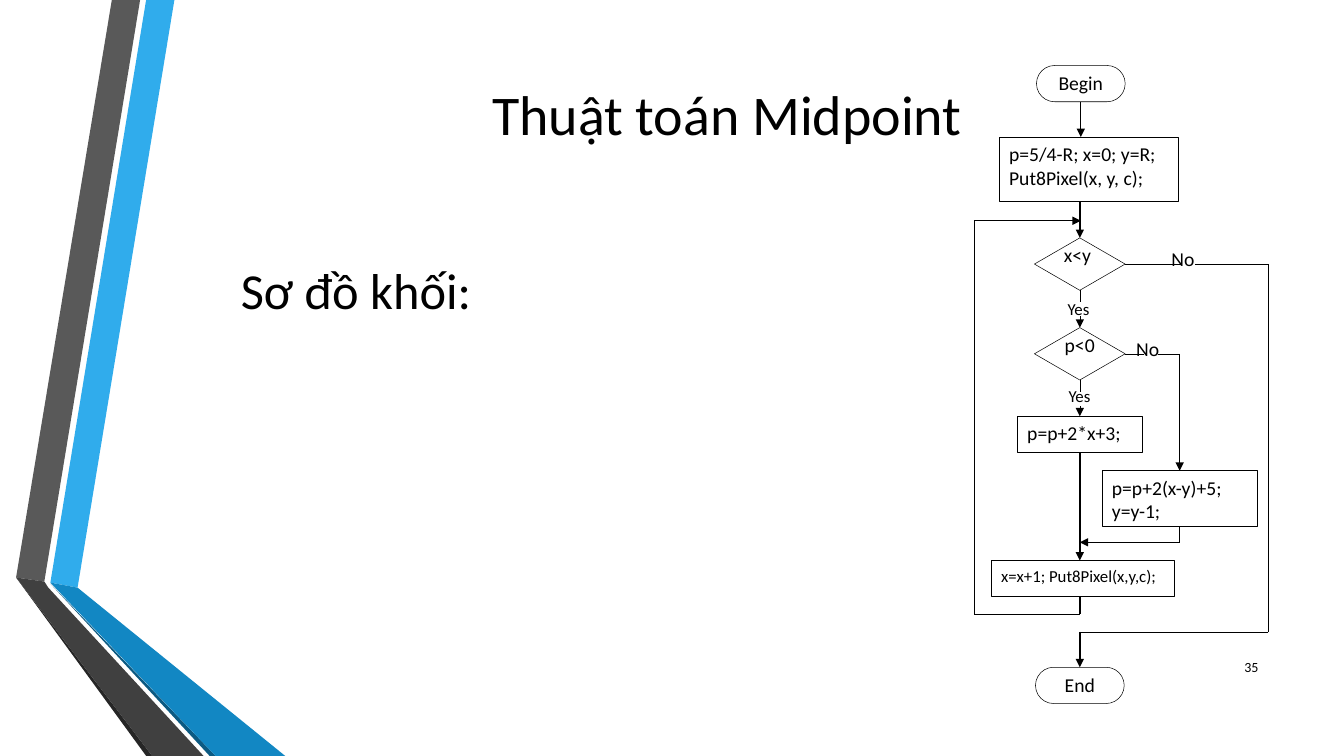
from itertools import pairwise

from lxml.etree import SubElement
from pptx import Presentation
from pptx.dml.color import RGBColor
from pptx.enum.shapes import MSO_CONNECTOR as LINK, MSO_SHAPE as SHAPE
from pptx.enum.text import MSO_ANCHOR as ANCHOR, PP_ALIGN as ALIGN
from pptx.oxml.ns import qn
from pptx.util import Inches, Pt

COLOURS = {
    "black": "000000",
    "blue": "30ACEC",
    "deep blue": "1287C3",
    "navy": "0C5A82",
    "grey": "595959",
    "dark grey": "404040",
    "charcoal": "262626",
}
THIN, THICK = 0.36, 0.96
AXIS = 10.71


def colour(name):
    return RGBColor.from_string(COLOURS[name])


def write(shape, text, size, align, anchor, wrap):
    frame = shape.text_frame
    frame.word_wrap = wrap
    frame.vertical_anchor = anchor
    frame.text = text
    for para in frame.paragraphs:
        para.alignment = align
        for name, value in {"name": "Calibri", "size": Pt(size)}.items():
            setattr(para.font, name, value)
        para.font.color.rgb = colour("black")


deck = Presentation()
deck.slide_width, deck.slide_height = Inches(13.33), Inches(7.5)
page = deck.slides.add_slide(deck.slide_layouts[6])

ribbons = [
    ("blue", [(0.5, 5.78), (0.77, 5.83), (1.73, 0), (1.45, 0)]),
    ("grey", [(1.39, 0), (1.11, 0), (0.16, 5.73), (0.44, 5.77)]),
    ("charcoal", [(0.16, 5.73), (1.45, 7.5), (1.51, 7.5)]),
    ("navy", [(0.5, 5.79), (2.08, 7.5), (2.14, 7.5)]),
    ("deep blue", [(0.5, 5.78), (2.14, 7.5), (2.83, 7.5), (0.77, 5.83)]),
    ("dark grey", [(0.16, 5.73), (1.51, 7.5), (2.02, 7.5), (0.48, 5.83), (0.44, 5.77)]),
]
for name, corners in ribbons:
    first, *others = [(Inches(x), Inches(y)) for x, y in corners]
    builder = page.shapes.build_freeform(*first)
    builder.add_line_segments(others, close=True)
    ribbon = builder.convert_to_shape()
    ribbon.shadow.inherit = False
    ribbon.fill.solid()
    ribbon.fill.fore_color.rgb = colour(name)
    ribbon.line.fill.background()

steps = [
    ("begin", SHAPE.ROUNDED_RECTANGLE, 10.28, 0.65, 0.88, 0.36, "Begin", 14),
    ("setup", SHAPE.RECTANGLE, 9.91, 1.36, 1.78, 0.64,
     "p=5/4-R; x=0; y=R;\nPut8Pixel(x, y, c);", 14),
    ("loop test", SHAPE.DIAMOND, 10.26, 2.36, 0.9, 0.52, "x<y ", 14),
    ("sign test", SHAPE.DIAMOND, 10.26, 3.25, 0.9, 0.52, "p<0", 14),
    ("east", SHAPE.RECTANGLE, 10.09, 4.13, 1.24, 0.36, "p=p+2*x+3;", 14),
    ("south east", SHAPE.RECTANGLE, 10.93, 4.67, 1.54, 0.55, "p=p+2(x-y)+5;\ny=y-1;", 14),
    ("plot", SHAPE.RECTANGLE, 9.83, 5.56, 1.82, 0.36, "x=x+1; Put8Pixel(x,y,c);", 12),
    ("end", SHAPE.ROUNDED_RECTANGLE, 10.27, 6.62, 0.88, 0.36, "End", 14),
]
blocks = {}
for name, kind, left, top, width, height, text, size in steps:
    block = page.shapes.add_shape(
        kind, Inches(left), Inches(top), Inches(width), Inches(height))
    block.shadow.inherit = False
    block.fill.background()
    block.line.color.rgb = colour("black")
    block.line.width = Pt(THIN)
    if kind == SHAPE.RECTANGLE:
        write(block, text, size, ALIGN.LEFT, ANCHOR.TOP, True)
    else:
        write(block, text, size, ALIGN.CENTER, ANCHOR.MIDDLE, False)
    if kind == SHAPE.ROUNDED_RECTANGLE:
        block.adjustments[0] = 0.5
        block.text_frame.margin_bottom = Inches(0.07)
    if kind == SHAPE.DIAMOND:
        block.text_frame.margin_top = 0
        block.text_frame.margin_bottom = Inches(0.18)
    blocks[name] = block

routes = [
    ([(10.72, 1.01), (10.72, 1.36)], THICK, True, ("begin", 2), None),
    ([(AXIS, 2), (AXIS, 2.36)], THICK, True, None, ("loop test", 0)),
    ([(AXIS, 2.88), (AXIS, 3)], THIN, False, ("loop test", 2), None),
    ([(AXIS, 3.14), (AXIS, 3.25)], THIN, True, None, ("sign test", 0)),
    ([(AXIS, 3.77), (AXIS, 3.89)], THIN, False, ("sign test", 2), None),
    ([(AXIS, 4.03), (AXIS, 4.13)], THIN, True, None, ("east", 0)),
    ([(AXIS, 4.49), (AXIS, 5.56)], THICK, True, ("east", 2), None),
    ([(11.16, 3.51), (11.35, 3.51)], THIN, False, ("sign test", 3), None),
    ([(11.49, 3.51), (11.7, 3.51)], THIN, False, None, None),
    ([(11.7, 3.51), (11.7, 4.67)], THICK, True, None, ("south east", 0)),
    ([(11.7, 5.22), (11.7, 5.38), (AXIS, 5.38)], THICK, True, ("south east", 2), None),
    ([(AXIS, 5.92), (AXIS, 6.09)], THICK, False, None, None),
    ([(AXIS, 6.09), (9.66, 6.09), (9.66, 2.19), (10.72, 2.19)], THIN, True, None, None),
    ([(11.16, 2.62), (11.71, 2.62)], THIN, False, ("loop test", 3), None),
    ([(11.85, 2.62), (12.58, 2.62), (12.58, 6.27), (AXIS, 6.27)], THIN, False, None, None),
    ([(AXIS, 6.27), (AXIS, 6.62)], THICK, True, None, ("end", 0)),
]
for points, weight, arrow, source, target in routes:
    links = []
    for start, stop in pairwise(points):
        link = page.shapes.add_connector(
            LINK.STRAIGHT, *(Inches(value) for value in start + stop))
        link.line.color.rgb = colour("black")
        link.line.width = Pt(weight)
        links.append(link)
    if source:
        links[0].begin_connect(blocks[source[0]], source[1])
    if target:
        links[-1].end_connect(blocks[target[0]], target[1])
    if arrow:
        SubElement(links[-1].line._get_or_add_ln(), qn("a:tailEnd"), type="triangle")
    for link in links:
        SubElement(link._element.spPr, qn("a:effectLst"))

labels = [
    ("Thuật toán Midpoint", 1.73, 0.16, 10.96, 1.92, 40, ALIGN.CENTER, ANCHOR.MIDDLE),
    ("35", 11.98, 6.42, 0.6, 0.4, 10, ALIGN.RIGHT, ANCHOR.MIDDLE),
    ("Yes", 10.49, 2.91, 0.44, 0.3, 12, ALIGN.LEFT, ANCHOR.TOP),
    ("Yes", 10.5, 3.78, 0.44, 0.3, 12, ALIGN.LEFT, ANCHOR.TOP),
    ("No", 11.52, 2.4, 0.44, 0.34, 14, ALIGN.LEFT, ANCHOR.TOP),
    ("No", 11.17, 3.29, 0.44, 0.34, 14, ALIGN.LEFT, ANCHOR.TOP),
    ("Sơ đồ khối:", 2.29, 2.52, 2.56, 0.71, 36, ALIGN.LEFT, ANCHOR.TOP),
]
for text, left, top, width, height, size, align, anchor in labels:
    box = page.shapes.add_textbox(
        Inches(left), Inches(top), Inches(width), Inches(height))
    write(box, text, size, align, anchor, align != ALIGN.LEFT)

deck.save("out.pptx")
